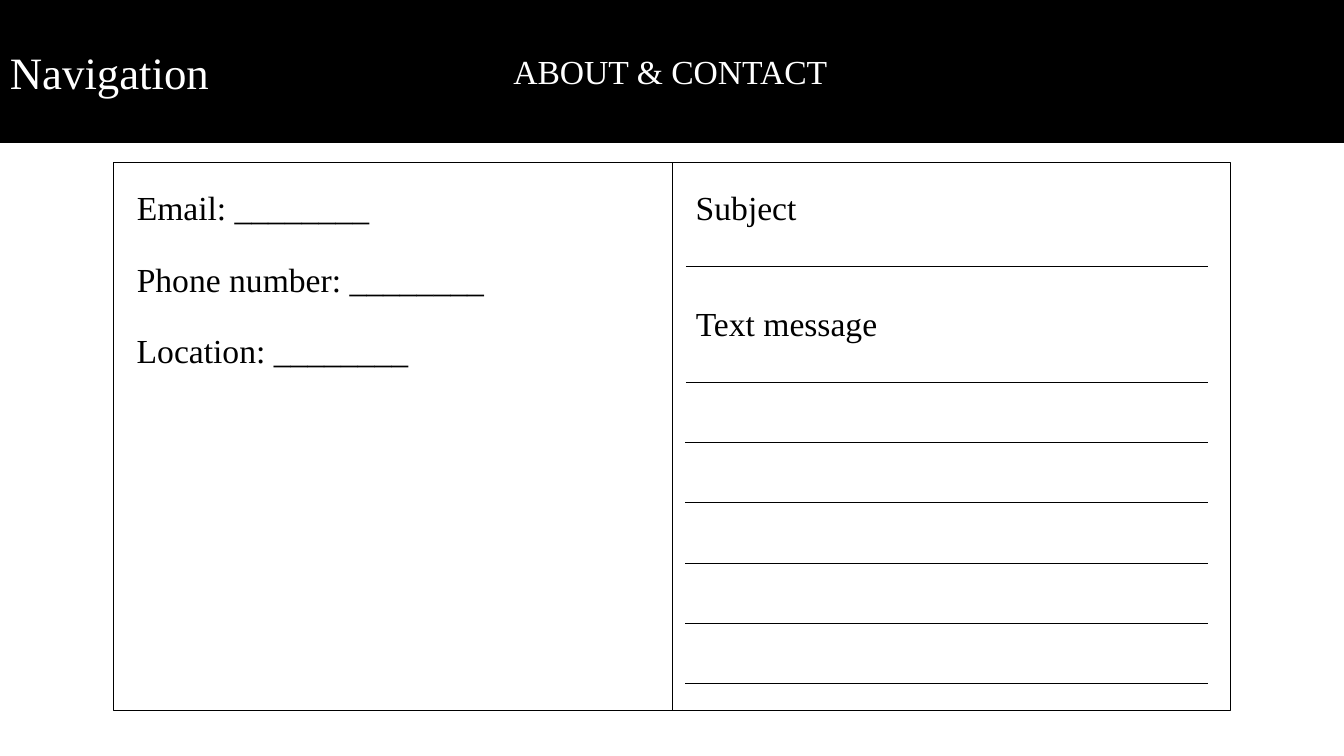
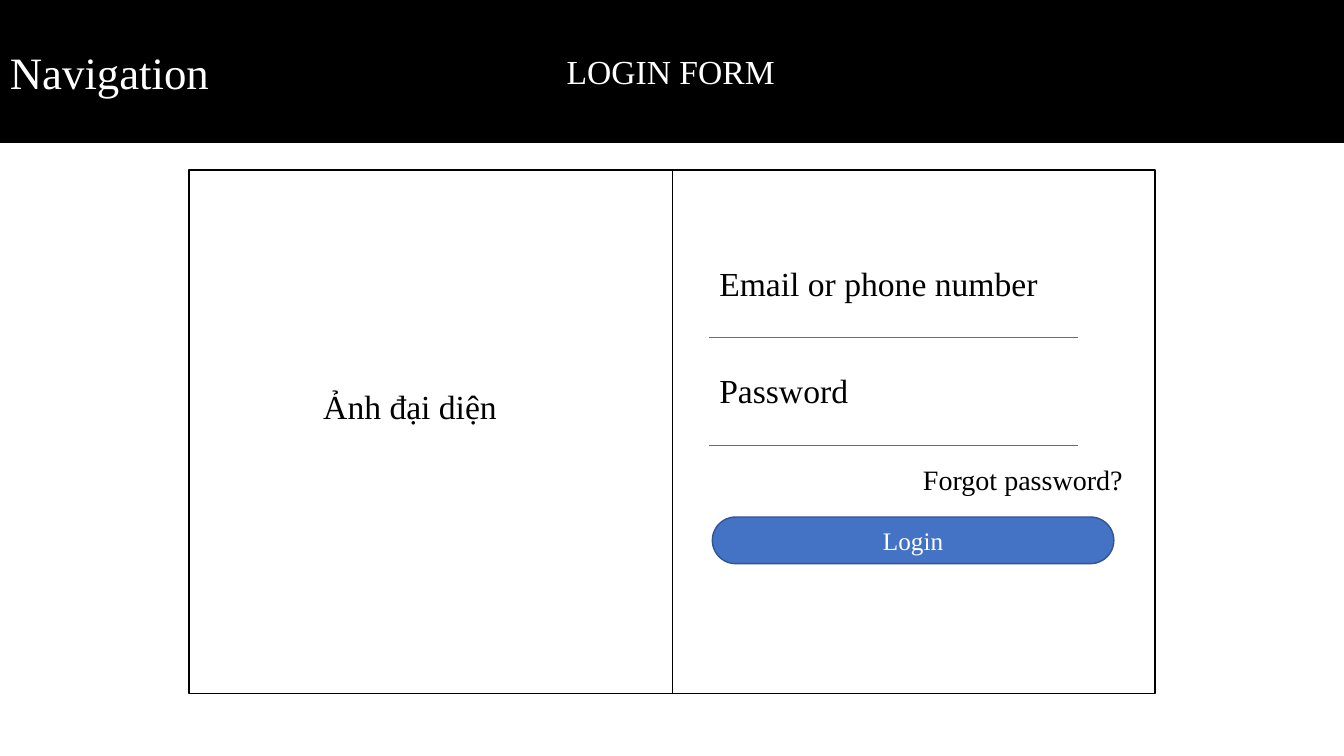
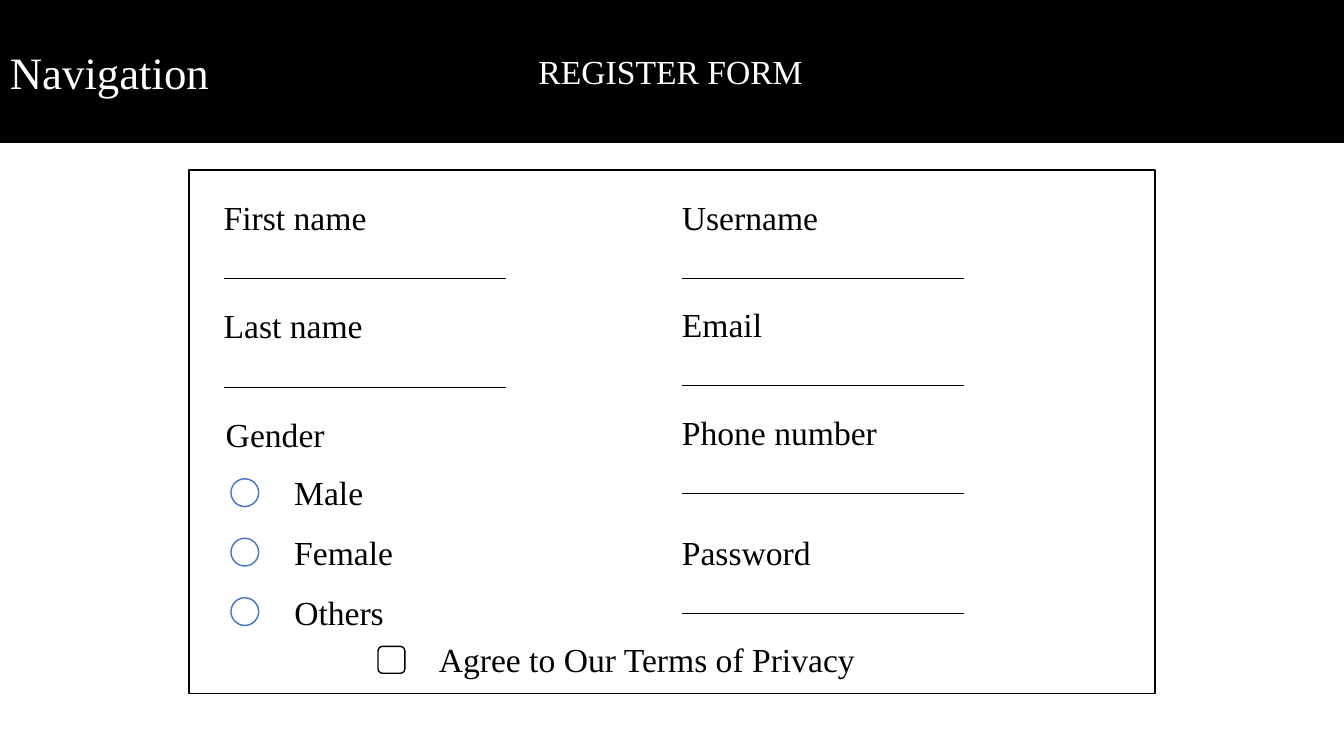
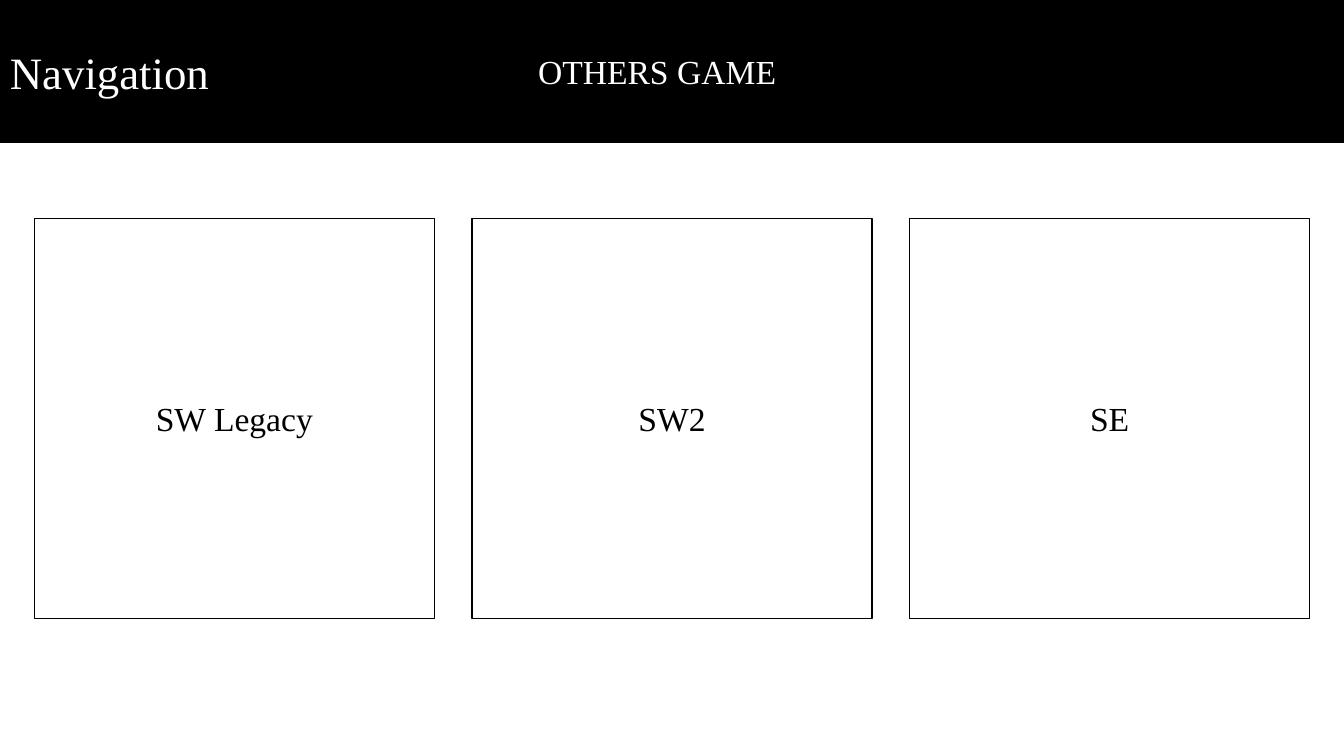
"""Build four wireframe slides of a game site: contact, login, register and other games."""
from lxml.etree import SubElement
from pptx import Presentation
from pptx.dml.color import RGBColor
from pptx.enum.shapes import MSO_CONNECTOR, MSO_SHAPE
from pptx.enum.text import MSO_ANCHOR, MSO_AUTO_SIZE, PP_ALIGN
from pptx.oxml.ns import qn
from pptx.util import Inches, Pt

COLUMNS, ROWS = 160, 90
MIDDLE = COLUMNS / 2
FONT = "Times New Roman"
COLOURS = {"black": "000000", "white": "FFFFFF", "blue": "4472C4", "navy": "325491"}


def colour(name):
    """Return the palette colour of that name."""
    return RGBColor.from_string(COLOURS[name])


class Wireframe:
    """Holds the deck, its style and the current page, measured in grid cells."""

    def __init__(self):
        """Start an empty widescreen deck."""
        self.deck = Presentation()
        self.deck.slide_width = Inches(13.33)
        self.deck.slide_height = Inches(7.5)
        self.page = None

    def cells(self, left, top, width, height):
        """Turn grid cells into slide lengths."""
        column = self.deck.slide_width / COLUMNS
        row = self.deck.slide_height / ROWS
        return [round(left * column), round(top * row), round(width * column), round(height * row)]

    def set_text(self, box, text, size, ink, align=PP_ALIGN.LEFT):
        """Put one styled paragraph in a box."""
        para = box.text_frame.paragraphs[0]
        para.text = text
        para.alignment = align
        para.font.name = FONT
        para.font.size = Pt(size)
        para.font.color.rgb = colour(ink)

    def fit(self, box):
        """Let a box hug its single line of text."""
        frame = box.text_frame
        frame.word_wrap = False
        frame.auto_size = MSO_AUTO_SIZE.SHAPE_TO_FIT_TEXT
        frame.vertical_anchor = MSO_ANCHOR.TOP

    def new_page(self, title, width, centre=MIDDLE):
        """Add a page with the navigation band and its title."""
        self.page = self.deck.slides.add_slide(self.deck.slide_layouts[5])
        heading = self.page.shapes.title
        heading.left, heading.top, heading.width, heading.height = self.cells(
            centre - width / 2, 5.45, width, 6)
        self.set_text(heading, title, 24, "white")
        self.fit(heading)
        band = self.box(0, 0, COLUMNS, 16.95, fill="black")
        self.set_text(band, "Navigation", 32, "white")
        heading._element.addprevious(band._element)

    def box(self, left, top, width, height, kind=MSO_SHAPE.RECTANGLE, fill="white", line="black"):
        """Add a filled and outlined shape."""
        shape = self.page.shapes.add_shape(kind, *self.cells(left, top, width, height))
        shape.shadow.inherit = False
        shape.fill.solid()
        shape.fill.fore_color.rgb = colour(fill)
        shape.line.color.rgb = colour(line)
        shape.line.width = Pt(1)
        shape.text_frame.vertical_anchor = MSO_ANCHOR.MIDDLE
        return shape

    def panel(self, top, width, height):
        """Add a frame centred across the slide."""
        self.box(MIDDLE - width / 2, top, width, height)

    def rule(self, left, top, width=0, height=0, ink="black"):
        """Add a thin straight line."""
        x, y, across, down = self.cells(left, top, width, height)
        line = self.page.shapes.add_connector(MSO_CONNECTOR.STRAIGHT, x, y, x + across, y + down)
        line.line.color.rgb = colour(ink)
        line.line.width = Pt(0.5)
        SubElement(line._element.spPr, qn("a:effectLst"))

    def label(self, text, left, top, width, size=24):
        """Add one line of text."""
        height = 6 * size / 24
        box = self.page.shapes.add_textbox(*self.cells(left, top, width, height))
        self.set_text(box, text, size, "black")
        self.fit(box)

    def field(self, text, left, top, width, length, drop, indent=0, ink="black"):
        """Add a label with an entry line below it."""
        self.label(text, left, top, width)
        self.rule(left + indent, top + drop, length, ink=ink)

    def button(self, text, left, top, width, height):
        """Add a pill button."""
        pill = self.box(left, top, width, height, MSO_SHAPE.ROUNDED_RECTANGLE, "blue", "navy")
        pill.adjustments[0] = 0.5
        self.set_text(pill, text, 18, "white", PP_ALIGN.CENTER)

    def card(self, text, left, top, side):
        """Add a square with centred text."""
        self.set_text(self.box(left, top, side, side), text, 24, "black", PP_ALIGN.CENTER)


def contact_page(wire):
    """Draw the contact details and the message form."""
    wire.new_page("ABOUT & CONTACT", 40.2)
    wire.panel(19.35, 133, 65.2)
    wire.rule(MIDDLE, 19.35, height=65.2)
    details = [("Email", 30.4), ("Phone number", 44.2), ("Location", 35)]
    for index, (name, width) in enumerate(details):
        wire.label(f"{name}: ________", 15.1, 21.7 + 8.52 * index, width)
    wire.field("Subject", 81.65, 21.7, 14.5, 62.2, 10.05)
    wire.field("Text message", 81.65, 35.45, 24.2, 62.2, 10.05)
    for index in range(1, 6):
        wire.rule(81.6, 45.5 + 7.18 * index, 62.2)


def login_page(wire):
    """Draw the login form beside the avatar."""
    wire.new_page("LOGIN FORM", 27.5)
    wire.panel(20.25, 115, 62.35)
    wire.rule(MIDDLE, 20.25, height=62.35)
    wire.label("Ảnh đại diện", 37.3, 45.4, 23.3)
    for index, (name, width) in enumerate([("Email or phone number", 40.7), ("Password", 17.9)]):
        wire.field(name, 84.45, 30.7 + 12.8 * index, width, 43.9, 9.5, ink="blue")
    wire.button("Login", 84.8, 61.55, 47.8, 5.55)
    wire.label("Forgot password?", 108.7, 54.5, 26.4, 20)


def register_page(wire):
    """Draw the registration form."""
    wire.new_page("REGISTER FORM", 34.2)
    wire.panel(20.25, 115, 62.35)
    fields = [
        ("First name", 25.45, 22.8, 19.6),
        ("Last name", 25.45, 35.75, 19.1),
        ("Username", 80, 22.8, 18.8),
        ("Email", 80, 35.6, 12),
        ("Phone number", 80, 48.4, 25.8),
        ("Password", 80, 62.75, 17.9),
    ]
    for name, left, top, width in fields:
        wire.field(name, left, top, width, 33.5, 10.32, indent=1.25)
    wire.label("Gender", 25.7, 48.7, 14.3)
    for index, (name, width) in enumerate([("Male", 10.7), ("Female", 14.3), ("Others", 13.2)]):
        wire.box(27.5, 57 + 7.08 * index, 3.3, 3.3, MSO_SHAPE.OVAL, line="blue")
        wire.label(name, 33.85, 55.6 + 7.13 * index, width)
    wire.box(45, 76.95, 3.2, 3.2, MSO_SHAPE.ROUNDED_RECTANGLE)
    wire.label("Agree to Our Terms of Privacy", 51.05, 75.5, 52.4)


def games_page(wire):
    """Draw the row of other games."""
    wire.new_page("OTHERS GAME", 31.1, centre=78.4)
    games = ["SW Legacy", "SW2", "SE"]
    side, gap = 47.65, 4.45
    start = (COLUMNS - len(games) * side - (len(games) - 1) * gap) / 2
    for index, name in enumerate(games):
        wire.card(name, start + index * (side + gap), 26, side)


wireframe = Wireframe()
for draw in (contact_page, login_page, register_page, games_page):
    draw(wireframe)
wireframe.deck.save("out.pptx")
